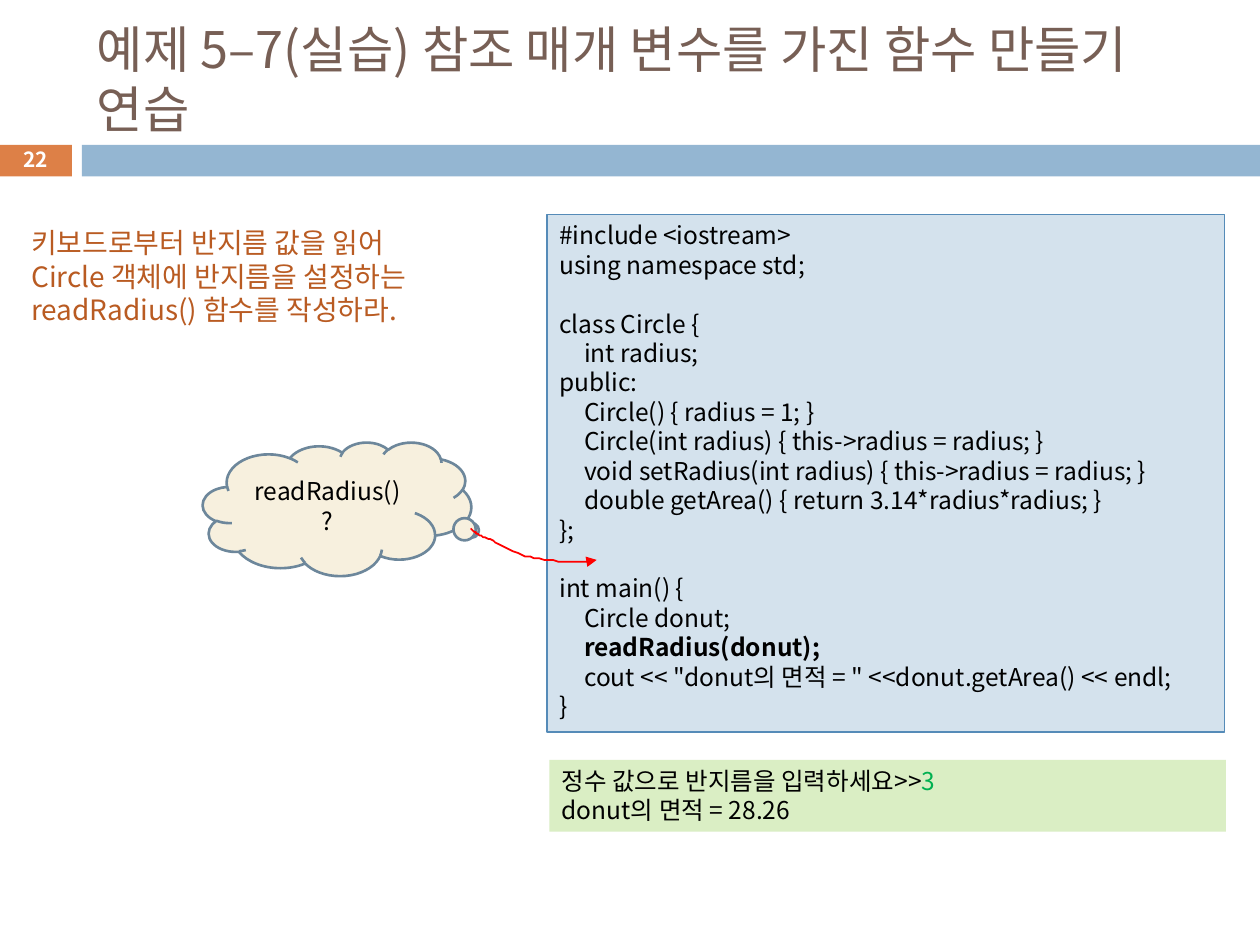
from dataclasses import dataclass
from typing import Optional

from lxml import etree
from pptx import Presentation
from pptx.dml.color import RGBColor
from pptx.enum.shapes import MSO_SHAPE
from pptx.enum.text import MSO_ANCHOR, MSO_AUTO_SIZE, PP_ALIGN
from pptx.oxml.ns import qn
from pptx.util import Pt

RECTANGLE = MSO_SHAPE.RECTANGLE
CLOUD = MSO_SHAPE.CLOUD_CALLOUT
TOP, MIDDLE = MSO_ANCHOR.TOP, MSO_ANCHOR.MIDDLE
LEFT, CENTER = PP_ALIGN.LEFT, PP_ALIGN.CENTER
NO_AUTOSIZE = MSO_AUTO_SIZE.NONE

FONT = "Noto Sans CJK KR"
BLACK = RGBColor(0x00, 0x00, 0x00)
WHITE = RGBColor(0xFF, 0xFF, 0xFF)
ORANGE = RGBColor(0xDD, 0x80, 0x47)
BLUE = RGBColor(0x94, 0xB6, 0xD2)
BROWN = RGBColor(0x77, 0x5F, 0x55)
RUST = RGBColor(0xB9, 0x5B, 0x22)
CODE_FILL = RGBColor(0xD4, 0xE2, 0xED)
CODE_LINE = RGBColor(0x55, 0x8B, 0xB8)
OUTPUT_FILL = RGBColor(0xDA, 0xEE, 0xC4)
CLOUD_FILL = RGBColor(0xF7, 0xF0, 0xDE)
CLOUD_LINE = RGBColor(0x6D, 0x87, 0x9B)
RED = RGBColor(0xFF, 0x00, 0x00)
GREEN = RGBColor(0x00, 0xB0, 0x50)

CODE = """#include <iostream>
using namespace std;

class Circle {
\tint radius;
public:
\tCircle() { radius = 1; }
\tCircle(int radius) { this->radius = radius; }
\tvoid setRadius(int radius) { this->radius = radius; }
\tdouble getArea() { return 3.14*radius*radius; }
};

int main() {
\tCircle donut;
\treadRadius(donut);
\tcout << "donut의 면적 = " <<donut.getArea() << endl;
}"""
TASK = """키보드로부터 반지름 값을 읽어
Circle 객체에 반지름을 설정하는
readRadius() 함수를 작성하라."""


@dataclass(frozen=True)
class Box:
    left: float
    top: float
    width: float
    height: float


@dataclass(frozen=True)
class Style:
    size: float
    color: RGBColor = BLACK
    bold: bool = False
    align: PP_ALIGN = LEFT
    anchor: MSO_ANCHOR = TOP
    wrap: bool = True


@dataclass(frozen=True)
class Panel:
    box: Box
    fill: RGBColor
    line: Optional[RGBColor] = None
    line_width: float = 0.75
    kind: MSO_SHAPE = RECTANGLE


def place(shape, box: Box) -> None:
    shape.left, shape.top = Pt(box.left), Pt(box.top)
    shape.width, shape.height = Pt(box.width), Pt(box.height)


def format_run(run, style: Style) -> None:
    font = run.font
    font.name, font.size, font.bold = FONT, Pt(style.size), style.bold
    font.color.rgb = style.color
    east_asian = etree.SubElement(run._r.get_or_add_rPr(), qn("a:ea"))
    east_asian.set("typeface", FONT)


def write(shape, text: str, style: Style) -> None:
    frame = shape.text_frame
    frame.text = text
    frame.auto_size = NO_AUTOSIZE
    frame.word_wrap = style.wrap
    frame.vertical_anchor = style.anchor
    for paragraph in frame.paragraphs:
        paragraph.alignment = style.align
        paragraph.line_spacing = Pt(style.size * 1.2)
        paragraph.font.size = Pt(style.size)
        for run in paragraph.runs:
            format_run(run, style)


def add_panel(slide, panel: Panel):
    box = panel.box
    shape = slide.shapes.add_shape(
        panel.kind, Pt(box.left), Pt(box.top), Pt(box.width), Pt(box.height))
    shape.shadow.inherit = False
    shape.fill.solid()
    shape.fill.fore_color.rgb = panel.fill
    if panel.line is None:
        shape.line.fill.background()
    else:
        shape.line.color.rgb = panel.line
        shape.line.width = Pt(panel.line_width)
    return shape


def add_label(slide, box: Box, text: str, style: Style) -> None:
    label = slide.shapes.add_textbox(0, 0, 0, 0)
    place(label, box)
    write(label, text, style)


def set_tab(paragraph, position: float) -> None:
    tabs = etree.SubElement(paragraph._p.get_or_add_pPr(), qn("a:tabLst"))
    paragraph._p.pPr.find(qn("a:lnSpc")).addnext(tabs)
    etree.SubElement(tabs, qn("a:tab"), pos=str(Pt(position)), algn="l")


def bezier(points: list[tuple[float, float]], t: float) -> tuple[float, float]:
    weights = ((1 - t) ** 3, 3 * t * (1 - t) ** 2, 3 * t * t * (1 - t), t ** 3)
    x, y = (sum(w * p[axis] for w, p in zip(weights, points)) for axis in (0, 1))
    return x, y


def add_curved_arrow(slide, knots: list[tuple[float, float]], steps: int = 12) -> None:
    points = [bezier(knots[i:i + 4], step / steps)
              for i in range(0, len(knots) - 1, 3)
              for step in range(1, steps + 1)]
    builder = slide.shapes.build_freeform(*knots[0], scale=Pt(1))
    builder.add_line_segments(points, close=False)
    arrow = builder.convert_to_shape()
    arrow.shadow.inherit = False
    arrow.fill.background()
    arrow.line.color.rgb = RED
    arrow.line.width = Pt(1)
    etree.SubElement(arrow.line._get_or_add_ln(), qn("a:tailEnd"), type="triangle")


def main() -> None:
    deck = Presentation()
    deck.slide_width, deck.slide_height = Pt(720), Pt(540)
    slide = deck.slides.add_slide(deck.slide_layouts[5])

    add_panel(slide, Panel(Box(-0.7, 82.8, 41.8, 18), ORANGE))
    add_panel(slide, Panel(Box(46.8, 82.8, 673.2, 18), BLUE))

    title = slide.shapes.title
    place(title, Box(48.2, 18, 642.2, 53.3))
    write(title, "예제 5–7(실습) 참조 매개 변수를 가진 함수 만들기 연습",
          Style(28.8, BROWN, anchor=MIDDLE))
    add_label(slide, Box(-0.7, 81.4, 41.8, 19.4), "22",
              Style(11.9, WHITE, bold=True, align=CENTER, anchor=MIDDLE))

    code = add_panel(slide, Panel(Box(312.5, 122.4, 387.4, 295.9), CODE_FILL, CODE_LINE))
    write(code, CODE, Style(14))
    for paragraph in code.text_frame.paragraphs:
        set_tab(paragraph, 14.2)
        if "readRadius" in paragraph.text:
            paragraph.runs[0].font.bold = True

    output = add_panel(slide, Panel(Box(313.9, 434.2, 386.6, 41), OUTPUT_FILL))
    write(output, "정수 값으로 반지름을 입력하세요>>\ndonut의 면적 = 28.26", Style(14))
    answer = output.text_frame.paragraphs[0].add_run()
    answer.text = "3"
    format_run(answer, Style(14, GREEN))

    add_label(slide, Box(10.8, 125.3, 254.9, 65.5), TASK, Style(16, RUST, wrap=False))

    cloud = add_panel(slide, Panel(Box(115.9, 252.7, 153.4, 76.3),
                                   CLOUD_FILL, CLOUD_LINE, 1.5, CLOUD))
    cloud.adjustments[0], cloud.adjustments[1] = 0.5, 0.16
    write(cloud, "readRadius() ?", Style(14, align=CENTER, anchor=MIDDLE))

    add_curved_arrow(slide, [
        (269.3, 302.4), (271.4, 304.6), (273.6, 306), (280.1, 308.2),
        (285.8, 311), (295.2, 316.8), (305.3, 319),
        (315.4, 321.1), (328.3, 321.1), (341.3, 320.4)])

    deck.save("out.pptx")


if __name__ == "__main__":
    main()
